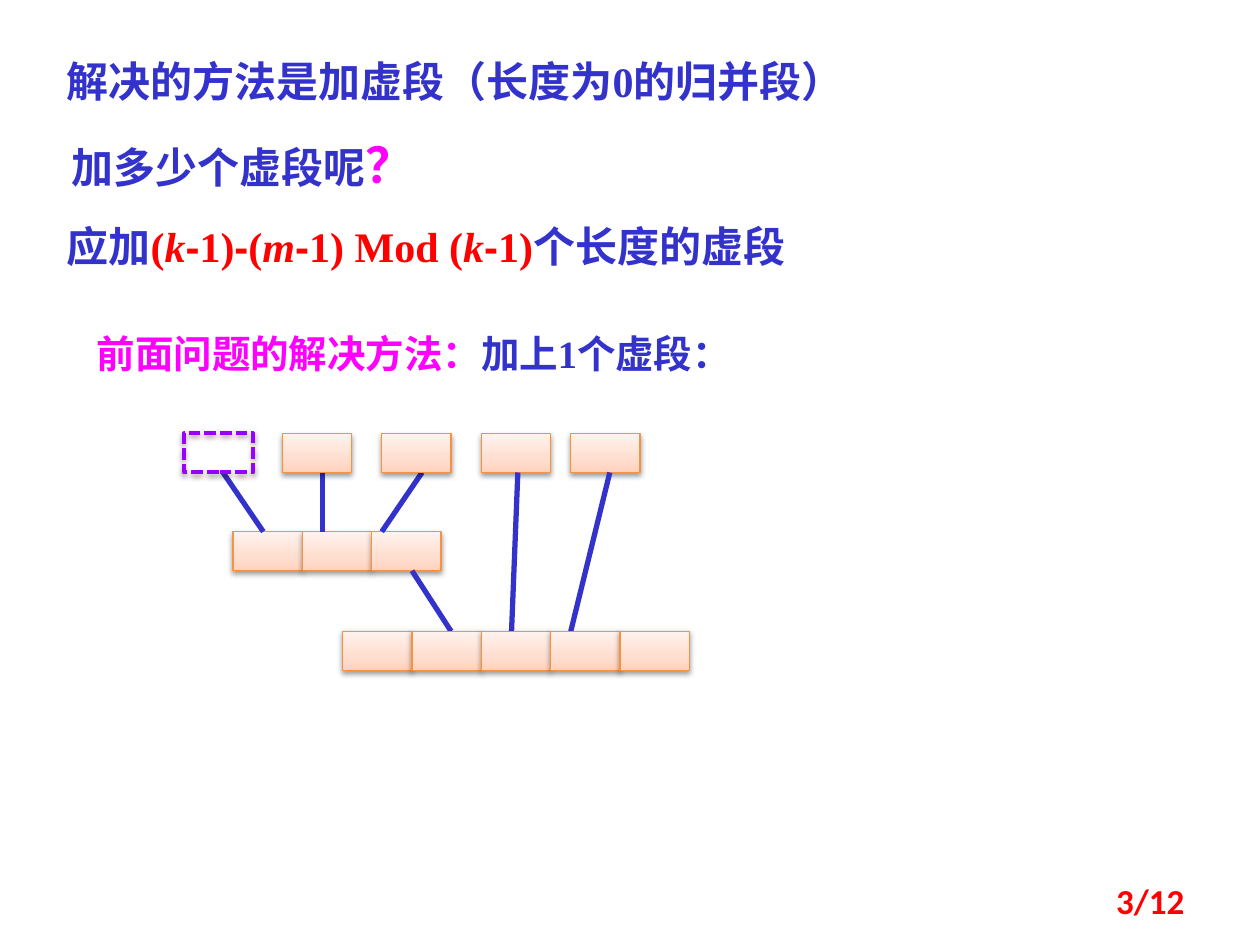
import copy

import pptx
import pptx.dml.color
import pptx.enum.dml
import pptx.enum.lang
import pptx.enum.shapes
import pptx.enum.text
import pptx.oxml
import pptx.oxml.ns
import pptx.util

Inches = pptx.util.Inches
Pt = pptx.util.Pt
RGBColor = pptx.dml.color.RGBColor

BLUE = RGBColor(0x33, 0x33, 0xCC)
RED = RGBColor(0xFF, 0x00, 0x00)
MAGENTA = RGBColor(0xFF, 0x00, 0xFF)
PURPLE = RGBColor(0x99, 0x00, 0xFF)
ORANGE = RGBColor(0xF6, 0x92, 0x40)
PEACH_DARK = RGBColor(0xFF, 0xD2, 0xBD)
PEACH_MID = RGBColor(0xFF, 0xDE, 0xD0)
PEACH_LIGHT = RGBColor(0xFF, 0xF2, 0xED)

SERIF, SANS, NUMBER_FONT = "Times New Roman", "Arial", "Calibri"
CELL_W, CELL_H = 0.55, 0.31
SHADOW = (
    '<a:outerShdw %s blurRad="40000" dist="20000" dir="5400000" rotWithShape="0">'
    '<a:srgbClr val="000000"><a:alpha val="38000"/></a:srgbClr></a:outerShdw>'
    % pptx.oxml.ns.nsdecls("a")
)


def add_text(slide, box, runs, size, font=SERIF, align=None, anchor=None):
    """Place one bold line; a run is (text, colour, overrides of name, size or italic)."""
    s = slide.shapes.add_textbox(*map(Inches, box))
    tf = s.text_frame
    tf.word_wrap = True
    tf.vertical_anchor = anchor
    p = tf.paragraphs[0]
    p.alignment = align
    for text, color, overrides in runs:
        r = p.add_run()
        r.text = text
        f = r.font
        f.name = overrides.get("name", font)
        f.size = Pt(overrides.get("size", size))
        f.italic = overrides.get("italic")
        f.bold = True
        f.color.rgb = color
        f.language_id = pptx.enum.lang.MSO_LANGUAGE_ID.SIMPLIFIED_CHINESE


def add_explanation(slide, left, top):
    add_text(slide, (left, top, 7.22, 0.5),
             [("解决的方法是加虚段（长度为0的归并段）", BLUE, {})], 24)
    add_text(slide, (left + 0.04, top + 0.63, 3.2, 0.57),
             [("加多少个虚段呢", BLUE, {}), ("？", MAGENTA, {"size": 28})], 24)

    italic, hyphen = {"italic": True}, ("-", RED, {"name": SANS})
    formula = [
        ("(", RED, {}), ("k", RED, italic), hyphen, ("1)", RED, {}), hyphen,
        ("(", RED, {}), ("m", RED, italic), hyphen, ("1) Mod (", RED, {}),
        ("k", RED, italic), hyphen, ("1)", RED, {}),
    ]
    add_text(slide, (left, top + 1.31, 6.85, 0.5),
             [("应加", BLUE, {})] + formula + [("个长度的虚段", BLUE, {})], 24)
    add_text(slide, (left + 0.24, top + 2.18, 5.74, 0.47),
             [("前面问题的解决方法：", MAGENTA, {}), ("加上1个虚段：", BLUE, {})], 22)


def fill_peach(s):
    s.fill.gradient()
    s.fill.gradient_angle = 90
    stops = s.fill.gradient_stops
    stops[0].color.rgb, stops[1].color.rgb = PEACH_DARK, PEACH_LIGHT
    gs_list = s.fill._fill._gradFill.gsLst
    gs_list.insert(1, copy.deepcopy(gs_list[0]))
    middle = s.fill.gradient_stops[1]
    middle.position = 0.35
    middle.color.rgb = PEACH_MID


def add_cell(slide, left, top, dummy=False):
    s = slide.shapes.add_shape(pptx.enum.shapes.MSO_SHAPE.RECTANGLE,
                               Inches(left), Inches(top), Inches(CELL_W), Inches(CELL_H))
    s.shadow.inherit = False
    s._element.spPr.find(pptx.oxml.ns.qn("a:effectLst")).append(pptx.oxml.parse_xml(SHADOW))
    if dummy:
        s.fill.background()
        s.line.dash_style = pptx.enum.dml.MSO_LINE.SQUARE_DOT
    else:
        fill_peach(s)
    s.line.color.rgb = PURPLE if dummy else ORANGE
    s.line.width = Pt(2.25 if dummy else 0.75)


def add_run_of_cells(slide, left, top, count):
    for i in range(count):
        add_cell(slide, left + i * CELL_W, top)


def add_links(slide, links):
    for ends in links:
        s = slide.shapes.add_connector(pptx.enum.shapes.MSO_CONNECTOR.STRAIGHT,
                                       *map(Inches, ends))
        s.line.color.rgb = BLUE
        s.line.width = Pt(3)
        pptx.oxml.ns.qn("a:effectLst")
        s._element.spPr.append(
            pptx.oxml.parse_xml("<a:effectLst %s/>" % pptx.oxml.ns.nsdecls("a")))


def add_merge_tree(slide, left, top):
    middle, bottom = top + 0.78, top + 1.57
    leaf_foot, middle_foot = top + CELL_H, middle + CELL_H

    add_run_of_cells(slide, left + 0.39, middle, 3)
    add_links(slide, [(left + x1, leaf_foot, left + x2, middle)
                      for x1, x2 in ((0.31, 0.63), (1.1, 1.1), (1.89, 1.57))])
    for i, x in enumerate((0, 0.78, 1.57, 2.36, 3.07)):
        add_cell(slide, left + x, top, dummy=i == 0)
    add_links(slide, [(left + x1, y, left + x2, bottom)
                      for x1, y, x2 in ((1.81, middle_foot, 2.12),
                                        (2.65, leaf_foot, 2.6),
                                        (3.38, leaf_foot, 3.07))])
    add_run_of_cells(slide, left + 1.26, bottom, 5)


def add_page_number(slide, box):
    add_text(slide, box, [("3/12", RED, {})], 20, NUMBER_FONT,
             pptx.enum.text.PP_ALIGN.RIGHT, pptx.enum.text.MSO_ANCHOR.MIDDLE)


def main():
    prs = pptx.Presentation()
    prs.slide_width, prs.slide_height = Inches(10), Inches(7.5)
    slide = prs.slides.add_slide(prs.slide_layouts[6])
    add_explanation(slide, 0.43, 0.39)
    add_merge_tree(slide, 1.46, 3.44)
    add_page_number(slide, (7.17, 6.95, 2.33, 0.4))
    prs.save("out.pptx")


if __name__ == "__main__":
    main()
